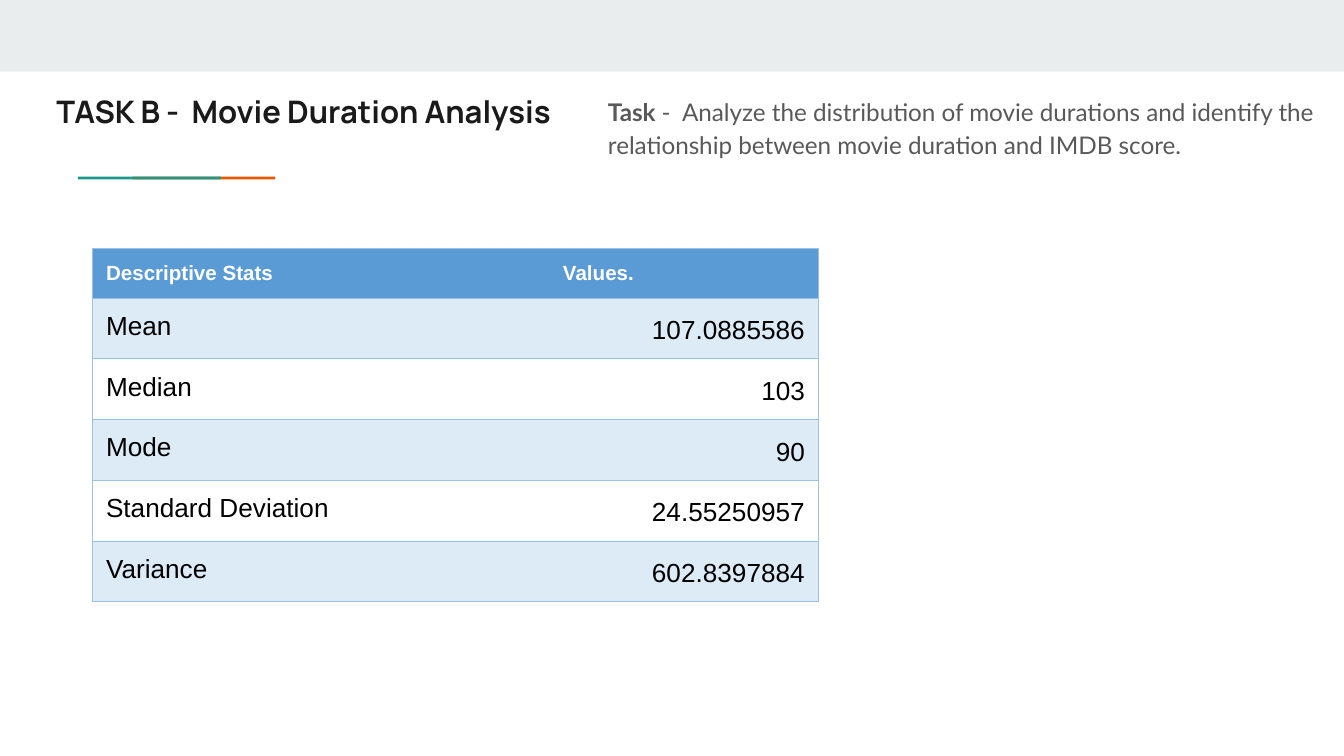
from lxml import etree
from pptx import Presentation
from pptx import util as u
from pptx.dml.color import RGBColor
from pptx.enum import shapes, text
from pptx.oxml import ns

STATS = [
    ("Descriptive Stats", "Values."),
    ("Mean", "107.0885586"),
    ("Median", "103"),
    ("Mode", "90"),
    ("Standard Deviation", "24.55250957"),
    ("Variance", "602.8397884"),
]


def color(value):
    return RGBColor.from_string(value)


class SlideBuilder:
    inset = u.Pt(7.2)
    band, teal, orange = "E9EDEE", "1A9988", "EB5600"
    ink, muted = "1A1A1A", "595959"
    header, stripe, border = "5B9BD5", "DDEBF7", "9BC2E6"

    def __init__(self, presentation):
        self.slide = presentation.slides.add_slide(presentation.slide_layouts[1])

    def style(self, paragraph, name, size, fill, bold=None):
        paragraph.font.name = name
        paragraph.font.size = u.Pt(size)
        paragraph.font.color.rgb = color(fill)
        paragraph.font.bold = bold

    def bar(self, left, top, width, height, fill, parent=None):
        shape = (parent or self.slide).shapes.add_shape(
            shapes.MSO_SHAPE.RECTANGLE, *map(u.Pt, (left, top, width, height)))
        shape.shadow.inherit = False
        shape.fill.solid()
        shape.fill.fore_color.rgb = color(fill)
        shape.line.fill.background()
        return shape

    def accent(self, lefts, top, width, length, height):
        group = self.slide.shapes.add_group_shape()
        for left, fill in zip(lefts, (self.orange, self.teal)):
            self.bar(left, top, width, length, fill, group).rotation = 270
        group.top = u.Pt(top + (length - height) / 2)
        group.height = u.Pt(height)

    def place(self, shape, left, top, width, height):
        shape.left, shape.top, shape.width, shape.height = map(
            u.Pt, (left, top, width, height))
        frame = shape.text_frame
        frame.margin_left = frame.margin_right = self.inset
        frame.margin_top = frame.margin_bottom = self.inset
        frame.vertical_anchor = text.MSO_ANCHOR.TOP
        frame.auto_size = text.MSO_AUTO_SIZE.NONE
        frame.word_wrap = True
        paragraph = frame.paragraphs[0]
        paragraph.alignment = text.PP_ALIGN.LEFT
        paragraph.space_before = u.Pt(0)
        return paragraph

    def title(self, wording, *box):
        paragraph = self.place(self.slide.shapes.title, *box)
        paragraph.text = wording
        self.style(paragraph, "Manrope", 16.6, self.ink, True)

    def body(self, lead, wording, *box):
        paragraph = self.place(self.slide.placeholders[1], *box)
        paragraph.line_spacing = 1.15
        paragraph.space_after = u.Pt(12)
        properties = paragraph._p.get_or_add_pPr()
        properties.set("marL", "0")
        properties.set("indent", "0")
        etree.SubElement(properties, ns.qn("a:buNone"))
        self.style(paragraph, "Lato", 13, self.muted)
        for part, bold in ((lead, True), (wording, False)):
            run = paragraph.add_run()
            run.text = part
            run.font.bold = bold

    def borders(self, cell, hidden):
        properties = cell._tc.get_or_add_tcPr()
        for side in "LRTB":
            line = etree.SubElement(
                properties, ns.qn(f"a:ln{side}"), w=str(u.Pt(0.6)))
            if side == hidden:
                etree.SubElement(line, ns.qn("a:noFill"))
            else:
                fill = etree.SubElement(line, ns.qn("a:solidFill"))
                etree.SubElement(fill, ns.qn("a:srgbClr"), val=self.border)

    def cell(self, cell, wording, row, column):
        cell.margin_left = cell.margin_right = self.inset
        cell.margin_top = cell.margin_bottom = self.inset
        paragraph = cell.text_frame.paragraphs[0]
        paragraph.text = wording
        if row == 0:
            self.style(paragraph, "Arial", 11, "FFFFFF", True)
        else:
            self.style(paragraph, "Arial", 14, "000000", False)
            if column == 1:
                paragraph.alignment = text.PP_ALIGN.RIGHT
                paragraph.line_spacing = 1.15
        self.borders(cell, "L" if column else "R")
        if row % 2 or row == 0:
            cell.fill.solid()
            cell.fill.fore_color.rgb = color(self.stripe if row else self.header)
        else:
            cell.fill.background()

    def table(self, rows, left, top, widths, header_height, row_height):
        height = header_height + row_height * (len(rows) - 1)
        table = self.slide.shapes.add_table(
            len(rows), len(widths),
            *map(u.Pt, (left, top, sum(widths), height))).table
        table.first_row = table.horz_banding = False
        for column, width in zip(table.columns, widths):
            column.width = u.Pt(width)
        for index, values in enumerate(rows):
            table.rows[index].height = u.Pt(row_height if index else header_height)
            for column, value in enumerate(values):
                self.cell(table.cell(index, column), value, index, column)


def main():
    presentation = Presentation()
    presentation.slide_width = u.Pt(720)
    presentation.slide_height = u.Pt(405)
    builder = SlideBuilder(presentation)
    builder.bar(0, 0, 720, 38.4, builder.band)
    builder.accent((107.3, 78.2), 57.1, 3.8, 76.6, 29.6)
    builder.title("TASK B -  Movie Duration Analysis", 23, 42.5, 289.5, 42.5)
    builder.body(
        "Task ",
        "-  Analyze the distribution of movie durations and identify the "
        "relationship between movie duration and IMDB score.",
        318.5, 42.3, 401.5, 52.5)
    builder.table(STATS, 49.6, 133.1, (244.8, 144), 25.6, 32.5)
    presentation.save("out.pptx")


if __name__ == "__main__":
    main()
